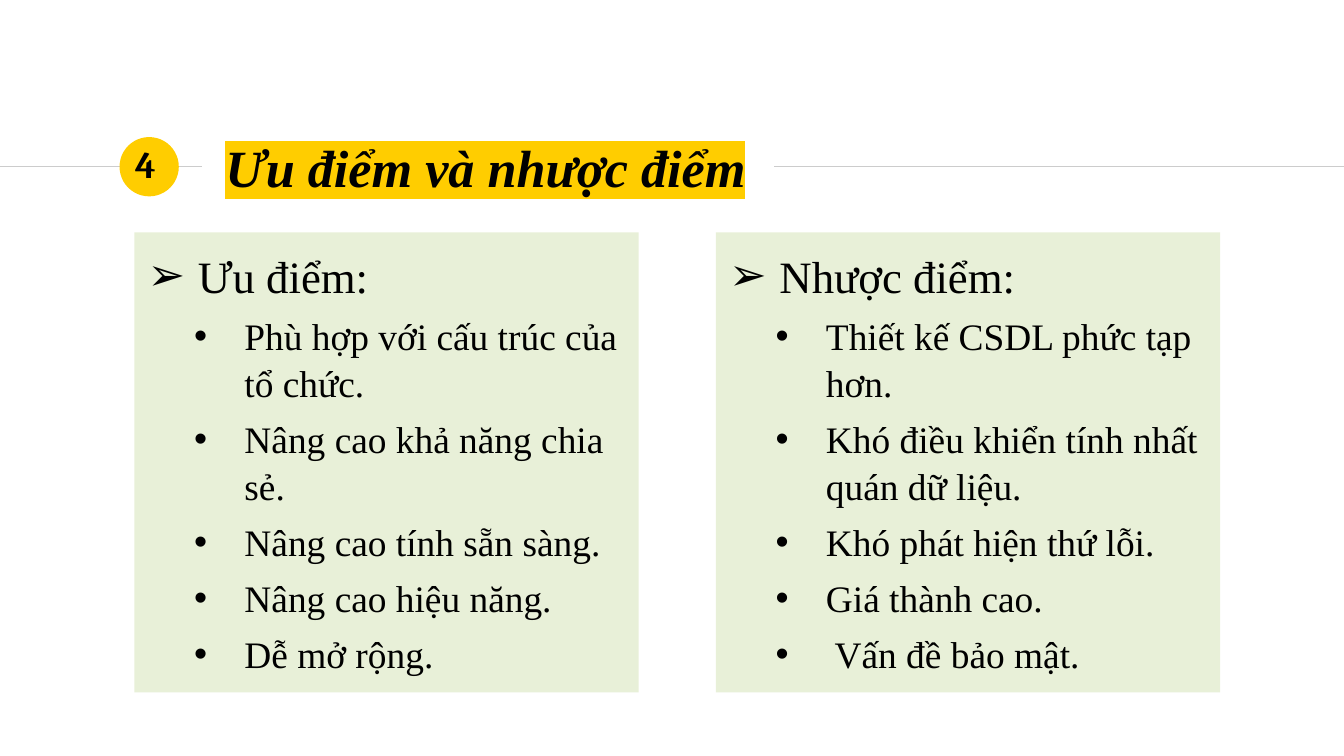
from lxml.etree import SubElement
from pptx import Presentation
from pptx.dml.color import RGBColor
from pptx.enum.shapes import MSO_CONNECTOR, MSO_SHAPE
from pptx.enum.text import MSO_ANCHOR, MSO_AUTO_SIZE, PP_ALIGN
from pptx.oxml.ns import qn
from pptx.util import Cm, Pt

BLACK = RGBColor(0x00, 0x00, 0x00)
YELLOW = RGBColor(0xFF, 0xCD, 0x00)
PALE_GREEN = RGBColor(0xE8, 0xF0, 0xD8)
GREY = RGBColor(0xCC, 0xCC, 0xCC)
SERIF = "Times New Roman"

RULE_Y = 3.15
COLUMN_LEFTS = (2.54, 13.53)
ADVANTAGES = (
    "Ưu điểm:",
    "Phù hợp với cấu trúc của tổ chức.",
    "Nâng cao khả năng chia sẻ.",
    "Nâng cao tính sẵn sàng.",
    "Nâng cao hiệu năng.",
    "Dễ mở rộng.",
)
DRAWBACKS = (
    "Nhược điểm:",
    "Thiết kế CSDL phức tạp hơn.",
    "Khó điều khiển tính nhất quán dữ liệu.",
    "Khó phát hiện thứ lỗi.",
    "Giá thành cao.",
    " Vấn đề bảo mật.",
)


def place(shape, left, top, width, height):
    shape.left, shape.top = Cm(left), Cm(top)
    shape.width, shape.height = Cm(width), Cm(height)


def set_frame(frame, anchor):
    frame.word_wrap = True
    frame.auto_size = MSO_AUTO_SIZE.NONE
    frame.vertical_anchor = anchor
    frame.margin_left = frame.margin_right = Cm(0.25)
    frame.margin_top = frame.margin_bottom = Cm(0.25)


def set_font(font, name, size, bold=False, italic=False):
    font.name, font.size = name, Pt(size)
    font.bold, font.italic = bold, italic
    font.color.rgb = BLACK


def add_rule(slide, start, end):
    rule = slide.shapes.add_connector(
        MSO_CONNECTOR.STRAIGHT, Cm(start), Cm(RULE_Y), Cm(end), Cm(RULE_Y))
    rule.line.color.rgb = GREY
    rule.line.width = Pt(0.75)
    SubElement(rule._element.spPr, qn("a:effectLst"))


def add_number_badge(slide, number):
    badge = slide.shapes.add_shape(
        MSO_SHAPE.OVAL, Cm(2.26), Cm(2.59), Cm(1.12), Cm(1.12))
    badge.shadow.inherit = False
    badge.fill.solid()
    badge.fill.fore_color.rgb = YELLOW
    badge.line.fill.background()

    label = slide.shapes.add_textbox(Cm(2.1), Cm(2.46), Cm(1.3), Cm(1.27))
    set_frame(label.text_frame, MSO_ANCHOR.MIDDLE)
    digit = label.text_frame.paragraphs[0]
    digit.text = number
    digit.alignment = PP_ALIGN.CENTER
    set_font(digit.font, "Cambria", 20, bold=True)


def fill_title(title, text):
    place(title, 4.01, 2.54, 11.84, 1.22)
    set_frame(title.text_frame, MSO_ANCHOR.MIDDLE)
    heading = title.text_frame.paragraphs[0]
    heading.text = text
    heading.alignment = PP_ALIGN.LEFT
    set_font(heading.font, SERIF, 28, bold=True, italic=True)
    highlight = SubElement(heading.runs[0]._r.get_or_add_rPr(), qn("a:highlight"))
    SubElement(highlight, qn("a:srgbClr"), val=str(YELLOW))


def set_bullet(paragraph, symbol, indent):
    properties = paragraph._p.get_or_add_pPr()
    properties.set("marL", str(Cm(indent)))
    properties.set("indent", str(-Cm(0.95)))
    colour = SubElement(properties, qn("a:buClr"))
    SubElement(colour, qn("a:srgbClr"), val=str(BLACK))
    SubElement(properties, qn("a:buFont"), typeface="Arial")
    SubElement(properties, qn("a:buChar"), char=symbol)


def fill_column(column, left, lines):
    """Write the first line as the heading and the rest as its points."""
    place(column, left, 4.39, 9.53, 8.69)
    column.fill.solid()
    column.fill.fore_color.rgb = PALE_GREEN
    frame = column.text_frame
    set_frame(frame, MSO_ANCHOR.TOP)
    for index, line in enumerate(lines):
        is_heading = index == 0
        paragraph = frame.paragraphs[0] if is_heading else frame.add_paragraph()
        paragraph.text = line
        paragraph.level = 0 if is_heading else 1
        paragraph.space_before = Pt(0 if is_heading else 4.8)
        paragraph.line_spacing = 1.05
        set_bullet(paragraph, "➢" if is_heading else "•", 0.95 if is_heading else 1.83)
        set_font(paragraph.font, SERIF, 24 if is_heading else 20)


def main():
    presentation = Presentation()
    presentation.slide_width, presentation.slide_height = Cm(25.4), Cm(14.28)
    slide = presentation.slides.add_slide(presentation.slide_layouts[3])
    title, *columns = slide.placeholders

    add_rule(slide, 0, 3.81)
    add_rule(slide, 14.63, 25.4)
    add_number_badge(slide, "4")
    fill_title(title, "Ưu điểm và nhược điểm")
    for column, left, lines in zip(columns, COLUMN_LEFTS, (ADVANTAGES, DRAWBACKS)):
        fill_column(column, left, lines)
    presentation.save("out.pptx")


if __name__ == "__main__":
    main()
